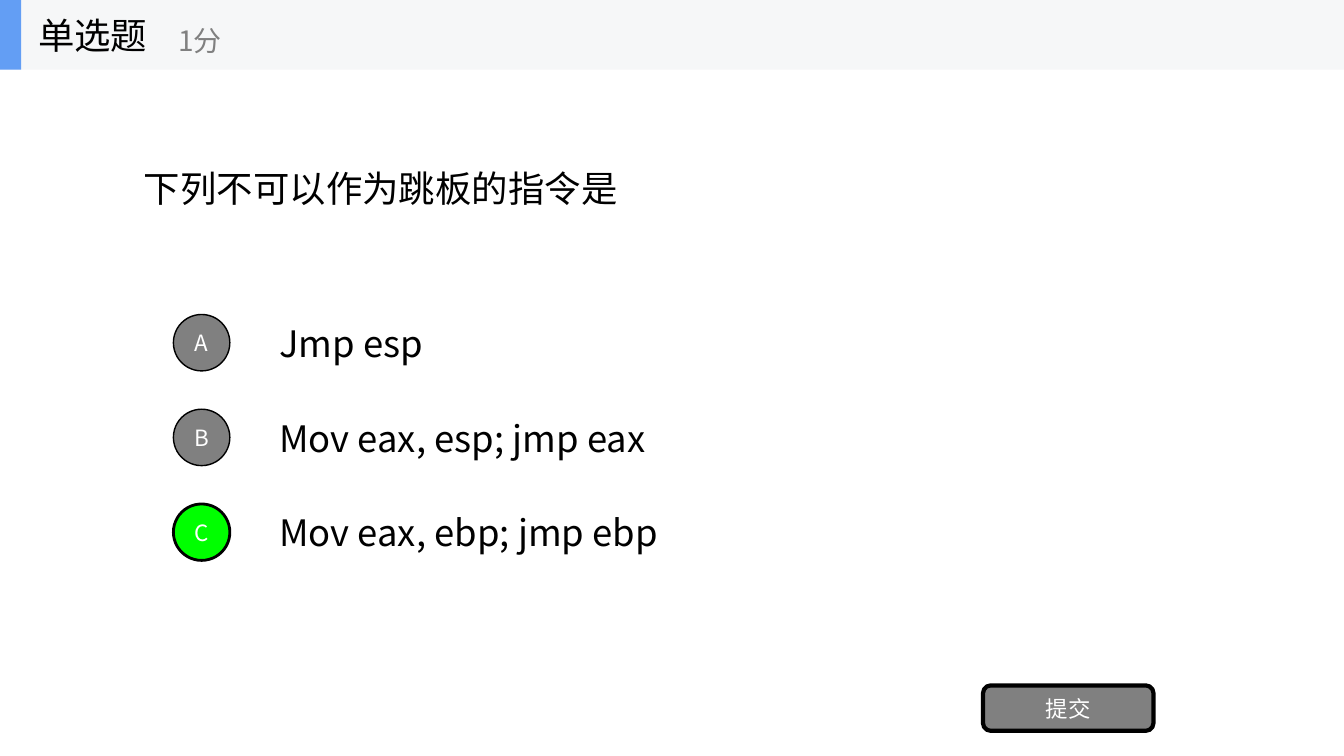
from pptx import Presentation
from pptx.dml.color import RGBColor
from pptx.enum.shapes import MSO_SHAPE
from pptx.enum.text import MSO_ANCHOR, PP_ALIGN
from pptx.oxml.ns import qn
from pptx.util import Inches, Pt

RECT, OVAL, ROUNDED = MSO_SHAPE.RECTANGLE, MSO_SHAPE.OVAL, MSO_SHAPE.ROUNDED_RECTANGLE
LEFT, CENTER = PP_ALIGN.LEFT, PP_ALIGN.CENTER
MIDDLE = MSO_ANCHOR.MIDDLE

FONT = "Noto Sans CJK SC"
BLACK = RGBColor(0x00, 0x00, 0x00)
WHITE = RGBColor(0xFF, 0xFF, 0xFF)
GRAY = RGBColor(0x80, 0x80, 0x80)
GREEN = RGBColor(0x00, 0xFF, 0x00)
BAR = RGBColor(0xF6, 0xF7, 0xF8)
BLUE = RGBColor(0x63, 0x9E, 0xF4)


def write(sp, text, size=26, color=BLACK, align=LEFT):
    tf = sp.text_frame
    tf.word_wrap = True
    tf.vertical_anchor = MIDDLE
    p = tf.paragraphs[0]
    p.alignment = align
    r = p.add_run()
    r.text = text
    r.font.size = Pt(size)
    r.font.name = FONT
    r.font.color.rgb = color
    # East Asian typeface, which font.name leaves unset
    ea = r.font._element.makeelement(qn("a:ea"), {"typeface": FONT})
    r.font._element.find(qn("a:latin")).addnext(ea)


def add_text(s, x, y, w, h, text, **fmt):
    box = s.shapes.add_textbox(Inches(x), Inches(y), Inches(w), Inches(h))
    write(box, text, **fmt)


def add_block(shapes, kind, x, y, w, h, fill, line=0):
    sp = shapes.add_shape(kind, Inches(x), Inches(y), Inches(w), Inches(h))
    sp.shadow.inherit = False
    sp.fill.solid()
    sp.fill.fore_color.rgb = fill
    if line:
        sp.line.color.rgb = BLACK
        sp.line.width = Pt(line)
    else:
        sp.line.fill.background()
    return sp


def add_header(s, x, y, w, h, title, points):
    add_block(s.shapes, RECT, x, y, w, h, BAR)
    add_block(s.shapes, RECT, x, y, 0.21, h, BLUE)
    add_text(s, x + 0.28, y, 2.08, h, title)
    add_text(s, x + 1.67, y + 0.12, 2.5, 0.56, points, size=20, color=GRAY)


def add_options(s, x, y, w, options, answer, pitch=0.94, h=0.7, badge=0.56):
    for i, (letter, text) in enumerate(options):
        top = y + i * pitch
        right = letter == answer
        sp = add_block(s.shapes, OVAL, x, top + (h - badge) / 2, badge, badge,
                       GREEN if right else GRAY, line=2 if right else 1)
        write(sp, letter, size=16, color=WHITE, align=CENTER)
        add_text(s, x + 0.95, top, w - 0.95, h, text)


def add_button(s, x, y, w, h, label):
    sp = add_block(s.shapes, ROUNDED, x, y, w, h, GRAY, line=3)
    write(sp, label, size=16, color=WHITE, align=CENTER)


def main():
    prs = Presentation()
    prs.slide_width, prs.slide_height = Inches(13.33), Inches(7.5)
    s = prs.slides.add_slide(prs.slide_layouts[6])

    # Question
    add_text(s, 1.33, 0.69, 10.67, 2.34, "下列不可以作为跳板的指令是")

    # Answers and submit button
    options = [("A", "Jmp esp"),
               ("B", "Mov eax, esp; jmp eax"),
               ("C", "Mov eax, ebp; jmp ebp")]
    add_options(s, 1.72, 3.05, 10.28, options, answer="C")
    add_button(s, 9.75, 6.8, 1.69, 0.45, "提交")

    # Header bar
    add_header(s, 0, 0, 13.33, 0.69, "单选题", "1分")

    prs.save("out.pptx")


if __name__ == "__main__":
    main()
